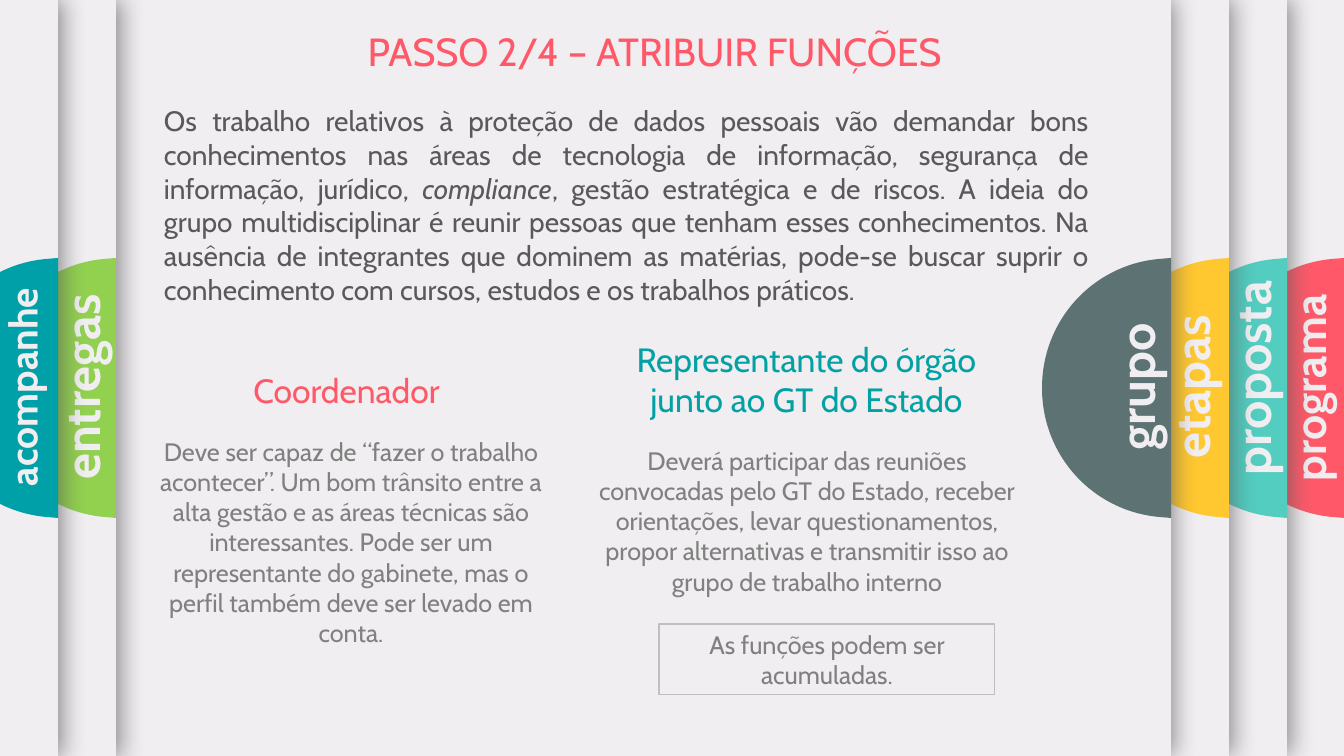
from dataclasses import dataclass

from lxml.etree import SubElement
from pptx import Presentation
from pptx.dml.color import RGBColor
from pptx.enum.shapes import MSO_SHAPE
from pptx.enum.text import MSO_ANCHOR, MSO_AUTO_SIZE, PP_ALIGN
from pptx.oxml.ns import qn
from pptx.shapes.autoshape import Shape
from pptx.slide import Slide
from pptx.util import Emu, Pt

PX = 914400 / 100.8
PAGE_WIDTH, PAGE_HEIGHT = 1344, 756
LABEL_WIDTH = 220

# Flap outline: distances left of the sheet edge, and heights on the page
FLAP_TOP, FLAP_MIDDLE, FLAP_BOTTOM = 258, 388, 518
FLAP_DEPTH, FLAP_SHOULDER, FLAP_HANDLE = 129, 12, 78
FLAP_CORNERS = [(0, FLAP_TOP), (0, FLAP_BOTTOM), (FLAP_SHOULDER, FLAP_BOTTOM - 1),
                (FLAP_DEPTH, FLAP_MIDDLE), (FLAP_SHOULDER, FLAP_TOP + 1)]
FLAP_CURVES = [
    [(FLAP_HANDLE, 511), (FLAP_DEPTH, 456), (FLAP_DEPTH, FLAP_MIDDLE)],
    [(FLAP_DEPTH, 320), (FLAP_HANDLE, 265), (FLAP_SHOULDER, FLAP_TOP + 1)],
]


@dataclass(frozen=True)
class Theme:
    font: str = "Cabin"
    paper: str = "F0EEF0"
    coral: str = "FF5969"
    mint: str = "52CDC0"
    yellow: str = "FFC730"
    slate: str = "5D7373"
    green: str = "92D050"
    teal: str = "00A0A8"
    heading_teal: str = "03A1A4"
    dark_grey: str = "595959"
    grey: str = "808080"
    border: str = "BFBFBF"
    title_size: int = 28
    heading_size: int = 24
    intro_size: int = 20
    body_size: int = 18


THEME = Theme()


@dataclass(frozen=True)
class Tab:
    label: str
    left: int
    right: int
    color: str
    size: int = 36
    label_height: int = 72
    label_indent: int = 35
    label_centre_y: int = 387


@dataclass(frozen=True)
class Block:
    text: str
    left: int
    top: int
    width: int
    height: int
    size: int
    color: str
    align: PP_ALIGN = PP_ALIGN.CENTER
    italic_word: str = ""


TABS = [
    Tab("programa", -32, 1344, THEME.coral, size=32, label_height=65, label_centre_y=388),
    Tab("proposta", 25, 1287, THEME.mint, label_centre_y=378),
    Tab("etapas", 130, 1229, THEME.yellow, label_indent=38),
    Tab("grupo", 116, 1171, THEME.slate),
    Tab("entregas", -842, 116, THEME.green),
    Tab("acompanhe", -1035, 58, THEME.teal, size=28, label_height=57, label_indent=36),
]

BLOCKS = [
    Block("Coordenador", 161, 365, 371, 50, THEME.heading_size, THEME.coral),
    Block("Deve ser capaz de “fazer o trabalho acontecer”. Um bom trânsito entre a alta gestão "
          "e as áreas técnicas são interessantes. Pode ser um representante do gabinete, mas o "
          "perfil também deve ser levado em conta.",
          137, 431, 428, 194, THEME.body_size, THEME.grey),
    Block("Representante do órgão junto ao GT do Estado",
          612, 334, 389, 92, THEME.heading_size, THEME.heading_teal),
    Block("Deverá participar das reuniões convocadas pelo GT do Estado, receber orientações, "
          "levar questionamentos, propor alternativas e transmitir isso ao grupo de trabalho "
          "interno",
          583, 440, 448, 163, THEME.body_size, THEME.grey),
    Block("PASSO 2/4 – ATRIBUIR FUNÇÕES", 169, 22, 971, 57, THEME.title_size, THEME.coral),
    Block("Os trabalho relativos à proteção de dados pessoais vão demandar bons conhecimentos "
          "nas áreas de tecnologia de informação, segurança de informação, jurídico, "
          "compliance, gestão estratégica e de riscos. A ideia do grupo multidisciplinar é "
          "reunir pessoas que tenham esses conhecimentos. Na ausência de integrantes que "
          "dominem as matérias, pode-se buscar suprir o conhecimento com cursos, estudos e os "
          "trabalhos práticos.",
          154, 99, 945, 214, THEME.intro_size, THEME.dark_grey,
          PP_ALIGN.JUSTIFY, "compliance"),
]


def px(length: float) -> Emu:
    return Emu(round(length * PX))


def rgb(color: str) -> RGBColor:
    return RGBColor.from_string(color)


def write(box: Shape, text: str, *, size: int, color: str, bold: bool = False,
          align: PP_ALIGN = PP_ALIGN.CENTER, italic_word: str = "") -> None:
    frame = box.text_frame
    frame.word_wrap = True
    frame.auto_size = MSO_AUTO_SIZE.SHAPE_TO_FIT_TEXT
    para = frame.paragraphs[0]
    para.alignment = align
    parts = text.partition(italic_word) if italic_word else (text,)
    for part in parts:
        span = para.add_run()
        span.text = part
        span.font.name = THEME.font
        span.font.size = Pt(size)
        span.font.bold = bold
        span.font.italic = part == italic_word
        span.font.color.rgb = rgb(color)


def add_box(page: Slide, left: float, top: float, width: int, height: int) -> Shape:
    return page.shapes.add_textbox(px(left), px(top), px(width), px(height))


def add_rectangle(page: Slide, left: int, top: int, width: int, height: int) -> Shape:
    shape = page.shapes.add_shape(MSO_SHAPE.RECTANGLE, px(left), px(top), px(width), px(height))
    shape.shadow.inherit = False
    return shape


def paint(shape: Shape, color: str) -> None:
    shape.fill.solid()
    shape.fill.fore_color.rgb = rgb(color)
    shape.line.fill.background()


def cast_shadow(shape: Shape) -> None:
    effects = shape._element.spPr.find(qn("a:effectLst"))
    shadow = SubElement(effects, qn("a:outerShdw"), blurRad=str(Pt(17)), dist=str(Pt(3)),
                        dir="0", algn="l", rotWithShape="0")
    tint = SubElement(shadow, qn("a:srgbClr"), val=THEME.dark_grey)
    SubElement(tint, qn("a:alpha"), val="65000")


def add_flap(page: Slide, right: int, color: str) -> None:
    corners = [(px(right - inset), px(y)) for inset, y in FLAP_CORNERS]
    builder = page.shapes.build_freeform(*corners[0])
    builder.add_line_segments(corners[1:], close=True)
    flap = builder.convert_to_shape()
    flap.shadow.inherit = False
    paint(flap, color)
    # Round the last two segments
    segments = list(flap._element.iter(qn("a:lnTo")))[-2:]
    for segment, curve in zip(segments, FLAP_CURVES):
        segment.clear()
        bend = SubElement(segment.getparent(), qn("a:cubicBezTo"))
        segment.getparent().replace(segment, bend)
        for inset, y in curve:
            SubElement(bend, qn("a:pt"), x=str(px(FLAP_DEPTH - inset)), y=str(px(y - FLAP_TOP)))


def add_tab(page: Slide, tab: Tab) -> None:
    sheet = add_rectangle(page, tab.left, 0, tab.right - tab.left, PAGE_HEIGHT)
    paint(sheet, THEME.paper)
    cast_shadow(sheet)
    add_flap(page, tab.right, tab.color)
    label = add_box(page, tab.right - tab.label_indent - LABEL_WIDTH / 2,
                    tab.label_centre_y - tab.label_height / 2, LABEL_WIDTH, tab.label_height)
    label.rotation = 270
    write(label, tab.label, size=tab.size, color=THEME.paper, bold=True)


def add_block(page: Slide, block: Block) -> None:
    box = add_box(page, block.left, block.top, block.width, block.height)
    write(box, block.text, size=block.size, color=block.color, align=block.align,
          italic_word=block.italic_word)


def add_note_frame(page: Slide) -> None:
    frame = add_rectangle(page, 659, 624, 336, 71)
    frame.fill.background()
    frame.line.color.rgb = rgb(THEME.border)
    frame.line.width = Pt(0.75)
    frame.text_frame.vertical_anchor = MSO_ANCHOR.MIDDLE
    write(frame, "As funções podem ser acumuladas.", size=THEME.body_size, color=THEME.grey)


def main() -> None:
    deck = Presentation()
    deck.slide_width, deck.slide_height = px(PAGE_WIDTH), px(PAGE_HEIGHT)
    page = deck.slides.add_slide(deck.slide_layouts[6])
    page.background.fill.solid()
    page.background.fill.fore_color.rgb = rgb(THEME.paper)

    # Stacked side tabs, back to front
    for tab in TABS:
        add_tab(page, tab)

    # Content
    for block in BLOCKS:
        add_block(page, block)
    add_note_frame(page)

    deck.save("out.pptx")


if __name__ == "__main__":
    main()
